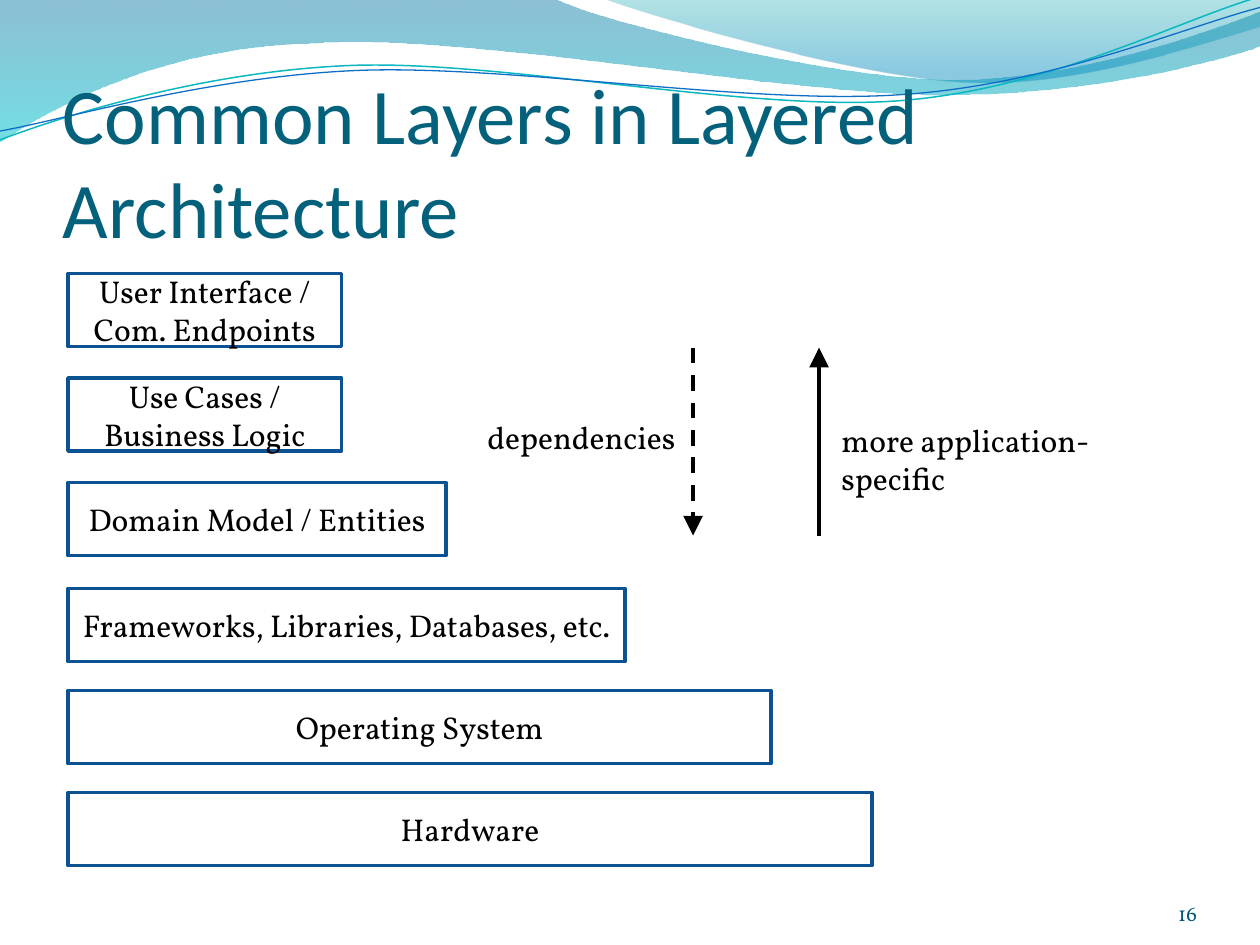
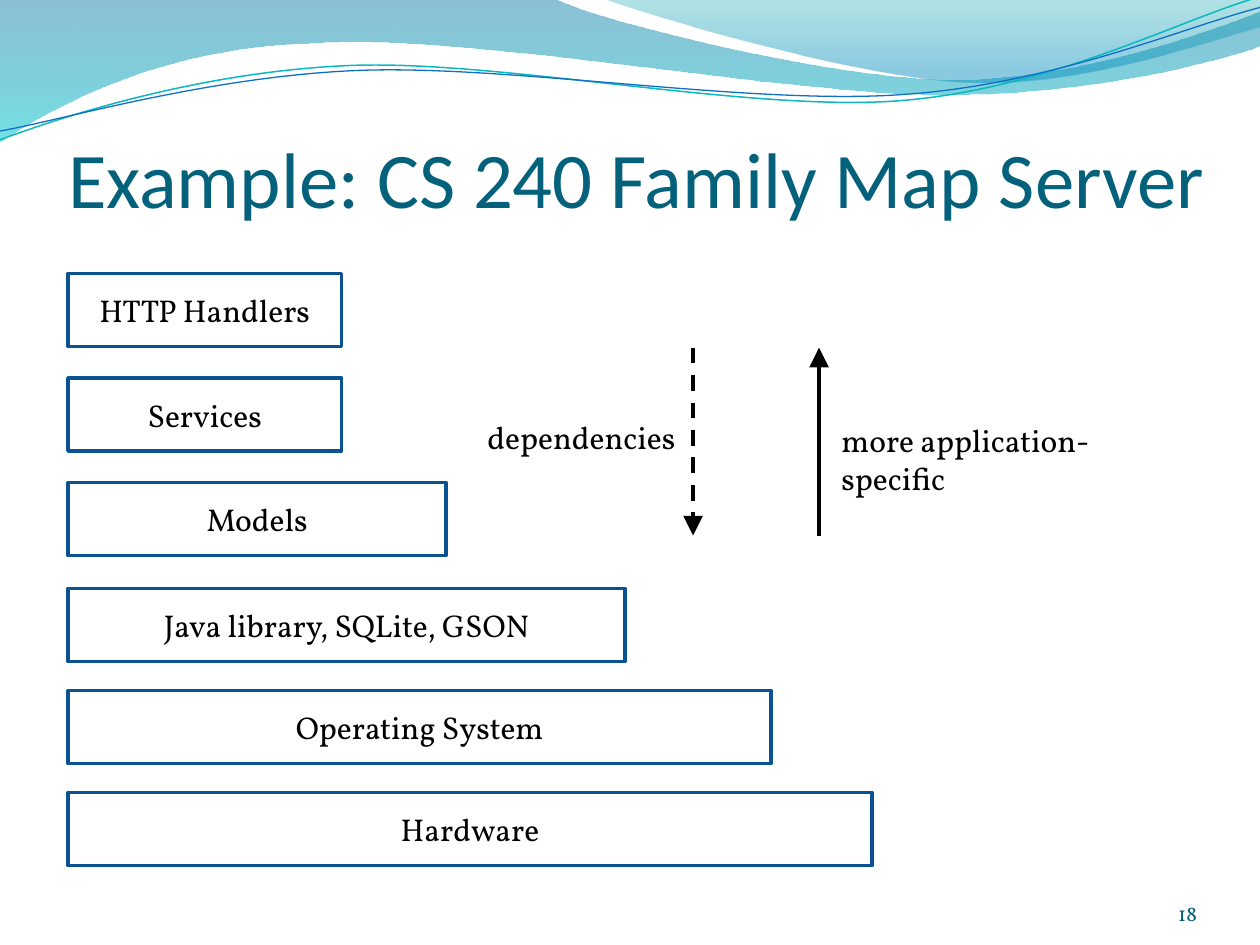
"""Build two slides that stack the layers of a layered architecture."""
import math

from lxml import etree
from pptx import Presentation
from pptx.dml.color import RGBColor
from pptx.enum.dml import MSO_LINE
from pptx.enum.shapes import MSO_CONNECTOR, MSO_SHAPE
from pptx.enum.text import MSO_ANCHOR, MSO_AUTO_SIZE, PP_ALIGN
from pptx.oxml.ns import qn
from pptx.util import Inches, Pt

DASH = MSO_LINE.DASH
STRAIGHT = MSO_CONNECTOR.STRAIGHT
RECTANGLE = MSO_SHAPE.RECTANGLE
BOTTOM, MIDDLE, TOP = MSO_ANCHOR.BOTTOM, MSO_ANCHOR.MIDDLE, MSO_ANCHOR.TOP
GROW = MSO_AUTO_SIZE.SHAPE_TO_FIT_TEXT
LEFT, CENTER, RIGHT = PP_ALIGN.LEFT, PP_ALIGN.CENTER, PP_ALIGN.RIGHT

WHITE = RGBColor(0xFF, 0xFF, 0xFF)
BLACK = RGBColor(0, 0, 0)
TITLE_TEAL = RGBColor(0x04, 0x61, 0x7B)
NUMBER_TEAL = RGBColor(0x04, 0x5D, 0x75)
LAYER_BLUE = RGBColor(0x0B, 0x52, 0x92)
DEEP_BLUE = RGBColor(0x00, 0x74, 0xA1)
AQUA = RGBColor(0x00, 0xC6, 0xCF)
SEA_GREEN = RGBColor(0x00, 0xA1, 0xA9)
SKY_BLUE = RGBColor(0x00, 0x8B, 0xBF)
THREAD_AQUA = RGBColor(0x0A, 0xB8, 0xBF)
THREAD_BLUE = RGBColor(0x0F, 0x6F, 0xC6)

TITLE_FONT = {"name": "Calibri", "size": Pt(45), "color": TITLE_TEAL}
BODY_FONT = {"name": "Vollkorn", "size": Pt(18), "color": BLACK}
NUMBER_FONT = {"name": "Vollkorn", "size": Pt(12), "color": NUMBER_TEAL}
TITLE_INSETS = (0, 0.05, 0, 0)
NO_INSETS = (0, 0, 0, 0)
TEXT_INSETS = (0.1, 0.05, 0.1, 0.05)

# Each step holds one end point for a straight edge or three points for a Bézier curve.
WAVE_BANDS = [
    ([[(0, 0)],
      [(4.4, -0.01)],
      [(4.76, 0.17), (6.64, 0.63), (7.58, 0.63)],
      [(8.53, 0.63), (9.58, 0.26), (10, 0.09)],
      [(10.01, 0.36)],
      [(9.83, 0.44), (8.7, 0.76), (7.46, 0.75)],
      [(6.22, 0.75), (3.82, 0.28), (2.57, 0.34)],
      [(1.29, 0.36), (0.46, 0.83), (-0.01, 1.13)],
      [(0, 0)]],
     [(0, DEEP_BLUE, 45), (1, AQUA, 55)]),
    ([[(4.79, -0.01)],
      [(5.09, 0.11), (6.82, 0.62), (7.69, 0.65)],
      [(8.56, 0.69), (9.61, 0.32), (10, 0.21)],
      [(10, 0)],
      [(4.79, -0.01)]],
     [(0, SEA_GREEN, 30), (0.8, SKY_BLUE, 45)]),
]
WAVE_THREADS = [
    ([[(0, 1.11)],
      [(0.48, 0.93), (1.58, 0.57), (2.77, 0.52)],
      [(3.95, 0.47), (5.93, 0.89), (7.13, 0.8)],
      [(8.33, 0.71), (9.38, 0.15), (9.98, -0.02)]],
     (4.99, 0.57), THREAD_AQUA, 0.85),
    ([[(0, 1.04)],
      [(0.47, 0.96), (1.64, 0.61), (2.83, 0.56)],
      [(4.03, 0.51), (5.97, 0.84), (7.17, 0.75)],
      [(8.36, 0.67), (9.41, 0.21), (10, 0.06)]],
     (5, 0.59), THREAD_BLUE, 0.75),
]
THREAD_TILT = 2.7

LAYER_LEFT, LAYER_HEIGHT = 0.54, 0.58
LAYER_TOPS = [2.17, 3, 3.83, 4.67, 5.48, 6.29]
LAYER_WIDTHS = [2.17, 2.17, 3, 4.42, 5.58, 6.38]
ARROWS = [(5.5, 2.76, 4.25, DASH), (6.5, 4.25, 2.76, None)]
ARROW_LABELS = [
    ("dependencies", (3.77, 3.27, 1.7, 0.4), False),
    ("more application-specific", (6.58, 3.29, 2.95, 0.4), True),
]
SLIDES = [
    ("Common Layers in Layered Architecture", (0.5, 0.77, 9, 1.25), "16",
     ["User Interface /\nCom. Endpoints", "Use Cases / Business Logic",
      "Domain Model / Entities", "Frameworks, Libraries, Databases, etc.",
      "Operating System", "Hardware"]),
    ("Example: CS 240 Family Map Server", (0.54, 0.53, 9.12, 1.25), "18",
     ["HTTP Handlers", "Services", "Models", "Java library, SQLite, GSON",
      "Operating System", "Hardware"]),
]


def trace_outline(slide, steps, closed, pivot=(0, 0), tilt=0):
    """Draw straight and curved steps as one outline, stored level and turned back by the tilt."""
    cos, sin = math.cos(math.radians(tilt)), math.sin(math.radians(tilt))
    points = []
    for x, y in sum(steps, []):
        dx, dy = x - pivot[0], y - pivot[1]
        points.append((Inches(pivot[0] + dx * cos - dy * sin),
                       Inches(pivot[1] + dx * sin + dy * cos)))
    builder = slide.shapes.build_freeform(*points[0])
    builder.add_line_segments(points[1:], close=closed)
    outline = builder.convert_to_shape()
    outline.shadow.inherit = False
    outline.rotation = -tilt
    edges = iter(list(outline._element.iter(qn("a:lnTo"))))
    for step in steps[1:]:
        edge = next(edges)
        if len(step) == 3:
            edge.addprevious(etree.Element(qn("a:cubicBezTo")))
            curve = edge.getprevious()
            for control in (edge, next(edges), next(edges)):
                curve.append(control[0])
                control.getparent().remove(control)
    return outline


def write(shape, text, font, align, anchor, insets=TEXT_INSETS, wrap=True):
    """Fill a shape with text in one format."""
    frame = shape.text_frame
    frame.text = text
    frame.word_wrap = wrap
    frame.vertical_anchor = anchor
    for side, inset in zip(("left", "top", "right", "bottom"), insets):
        setattr(frame, f"margin_{side}", Inches(inset))
    for paragraph in frame.paragraphs:
        paragraph.alignment = align
        for run in paragraph.runs:
            for key, value in font.items():
                if key == "color":
                    run.font.color.rgb = value
                else:
                    setattr(run.font, key, value)


deck = Presentation()
deck.slide_width, deck.slide_height = Inches(10), Inches(7.5)

for title, title_place, number, layers in SLIDES:
    slide = deck.slides.add_slide(deck.slide_layouts[6])

    for steps, stops in WAVE_BANDS:
        band = trace_outline(slide, steps, True)
        band.line.fill.background()
        band.fill.gradient()
        band.fill.gradient_angle = 270
        for stop, (position, color, _) in zip(band.fill.gradient_stops, stops):
            stop.position = position
            stop.color.rgb = color
        for tint, (_, _, opacity) in zip(band._element.spPr.iter(qn("a:srgbClr")), stops):
            etree.SubElement(tint, qn("a:alpha"), val=str(opacity * 1000))

    for steps, pivot, color, weight in WAVE_THREADS:
        thread = trace_outline(slide, steps, False, pivot, THREAD_TILT)
        thread.fill.background()
        thread.line.color.rgb = color
        thread.line.width = Pt(weight)

    heading = slide.shapes.add_textbox(*map(Inches, title_place))
    write(heading, title, TITLE_FONT, LEFT, BOTTOM, TITLE_INSETS)
    page_number = slide.shapes.add_textbox(*map(Inches, (8.67, 6.95, 0.83, 0.4)))
    write(page_number, number, NUMBER_FONT, RIGHT, BOTTOM, NO_INSETS)

    for layer, top, width in zip(layers, LAYER_TOPS, LAYER_WIDTHS):
        place = map(Inches, (LAYER_LEFT, top, width, LAYER_HEIGHT))
        layer_box = slide.shapes.add_shape(RECTANGLE, *place)
        layer_box.shadow.inherit = False
        layer_box.fill.solid()
        layer_box.fill.fore_color.rgb = WHITE
        layer_box.line.color.rgb = LAYER_BLUE
        layer_box.line.width = Pt(2)
        write(layer_box, layer, BODY_FONT, CENTER, MIDDLE)

    for x, tail_y, head_y, dash in ARROWS:
        ends = map(Inches, (x, tail_y, x, head_y))
        arrow = slide.shapes.add_connector(STRAIGHT, *ends)
        arrow.line.color.rgb = BLACK
        arrow.line.width = Pt(2.25)
        if dash:
            arrow.line.dash_style = dash
        properties = arrow._element.spPr
        etree.SubElement(properties.find(qn("a:ln")), qn("a:tailEnd"),
                         type="triangle", w="lg", len="lg")
        etree.SubElement(properties, qn("a:effectLst"))

    for label, place, wrap in ARROW_LABELS:
        arrow_label = slide.shapes.add_textbox(*map(Inches, place))
        write(arrow_label, label, BODY_FONT, LEFT, TOP, wrap=wrap)
        arrow_label.text_frame.auto_size = GROW

deck.save("out.pptx")
